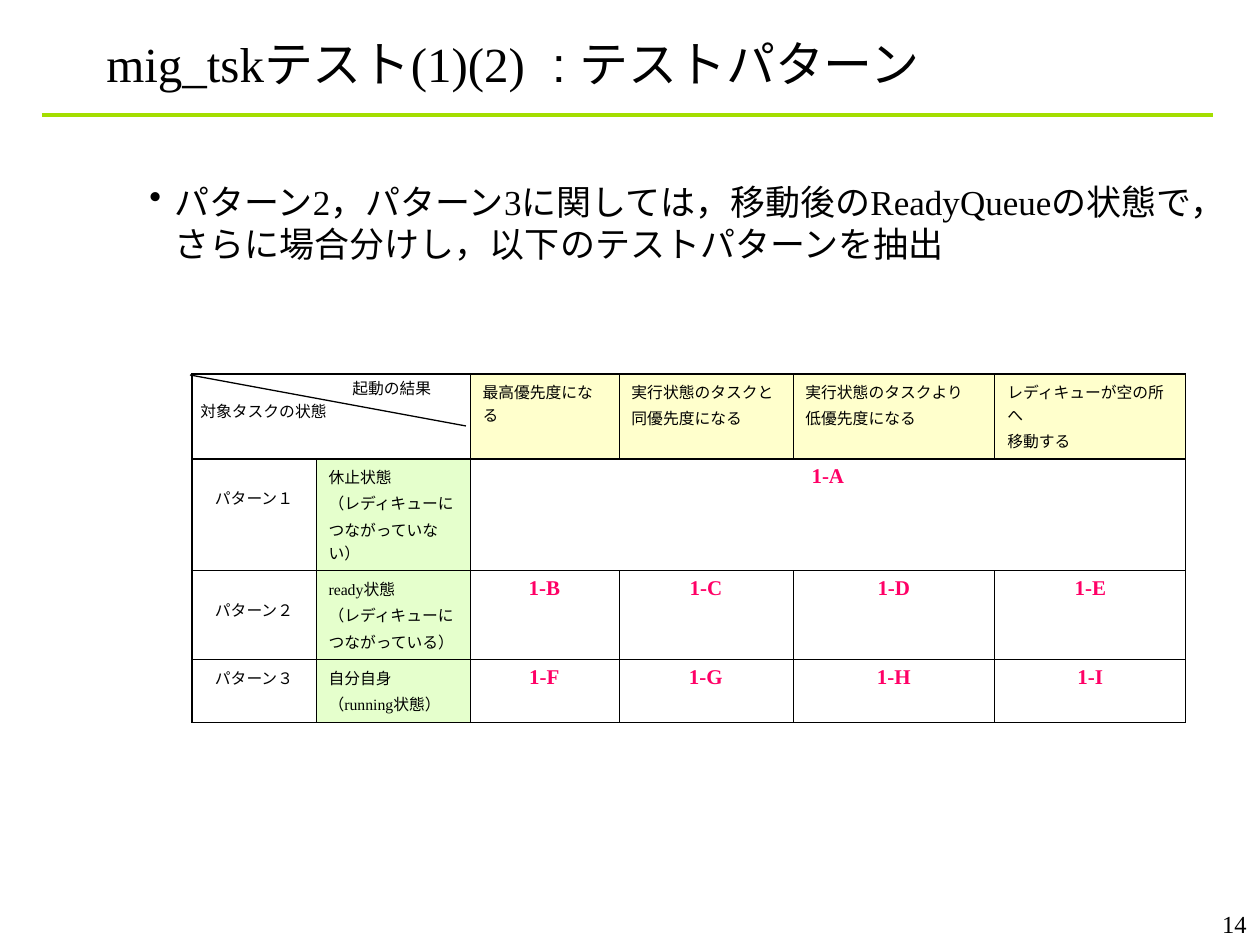
from lxml.etree import SubElement
from pptx import Presentation
from pptx.dml.color import RGBColor
from pptx.enum.shapes import MSO_CONNECTOR
from pptx.enum.text import MSO_ANCHOR, PP_ALIGN
from pptx.oxml.ns import qn
from pptx.util import Pt

PX = 914400 // 126
BLACK = RGBColor(0x00, 0x00, 0x00)
LIME = RGBColor(0xA4, 0xDE, 0x00)
CREAM = RGBColor(0xFF, 0xFF, 0xCC)
MINT = RGBColor(0xE5, 0xFF, 0xCC)
PINK = RGBColor(0xFF, 0x00, 0x66)
SERIF, SANS = "Times New Roman", "Arial"
PLAIN = {"size": Pt(9), "name": SERIF, "color": BLACK, "bold": False}
CODE = {**PLAIN, "size": Pt(12), "color": PINK, "bold": True}

RESULTS = [
    ["最高優先度になる"],
    ["実行状態のタスクと", "同優先度になる"],
    ["実行状態のタスクより", "低優先度になる"],
    ["レディキューが空の所へ", "移動する"],
]
PATTERNS = [
    ("パターン１", ["休止状態", "（レディキューに", "つながっていない）"], ["1-A"], 27),
    ("パターン２", ["ready状態", "（レディキューに", "つながっている）"],
     ["1-B", "1-C", "1-D", "1-E"], 27),
    ("パターン３", ["自分自身", "（running状態）"], ["1-F", "1-G", "1-H", "1-I"], 6),
]
COLUMN_WIDTHS = [124, 154, 149, 174, 202, 191]
ROW_HEIGHTS = [85, 112, 89, 63]


class SlideWriter:
    """Holds the slide and draws each kind of element on it in one style."""

    def __init__(self, slide):
        self.slide = slide

    def run(self, paragraph, wording, style):
        run = paragraph.add_run()
        run.text = wording
        for key, value in style.items():
            if key == "color":
                run.font.color.rgb = value
            else:
                setattr(run.font, key, value)

    def text(self, box, runs, size, anchor=MSO_ANCHOR.TOP, align=PP_ALIGN.LEFT):
        frame = self.slide.shapes.add_textbox(*(v * PX for v in box)).text_frame
        frame.word_wrap = True
        frame.vertical_anchor = anchor
        paragraph = frame.paragraphs[0]
        paragraph.alignment = align
        for wording, font in runs:
            self.run(paragraph, wording, {**PLAIN, "size": Pt(size), "name": font})
        return paragraph

    def bullet(self, box, wording, size):
        paragraph = self.text(box, [(wording, SERIF)], size)
        properties = paragraph._p.get_or_add_pPr()
        for key, value in {"marL": 25 * PX, "indent": -25 * PX}.items():
            properties.set(key, str(value))
        SubElement(properties, qn("a:buChar"), char="•")

    def line(self, start, end, color, width):
        ends = (v * PX for v in (*start, *end))
        connector = self.slide.shapes.add_connector(MSO_CONNECTOR.STRAIGHT, *ends)
        connector.line.color.rgb = color
        connector.line.width = Pt(width)
        SubElement(connector._element.spPr, qn("a:effectLst"))

    def table(self, left, top, widths, heights):
        box = (left, top, sum(widths), sum(heights))
        table = self.slide.shapes.add_table(
            len(heights), len(widths), *(v * PX for v in box)).table
        for key in ("first_row", "horz_banding"):
            setattr(table, key, False)
        for column, width in zip(table.columns, widths):
            column.width = width * PX
        for row, height in zip(table.rows, heights):
            row.height = height * PX
        return table

    def borders(self, cell, outer_left, outer_right):
        properties = cell._tc.get_or_add_tcPr()
        widths = {"L": 0.75 if outer_left else 0.45, "R": 0.75 if outer_right else 0.45,
                  "T": 0.75, "B": 0.75}
        for side, width in widths.items():
            border = SubElement(properties, qn(f"a:ln{side}"), w=str(Pt(width)))
            SubElement(SubElement(border, qn("a:solidFill")), qn("a:srgbClr"), val=str(BLACK))

    def cell(self, cell, lines, style=PLAIN, fill=None, align=PP_ALIGN.LEFT, top=6):
        cell.margin_top = top * PX
        if fill is None:
            cell.fill.background()
        else:
            cell.fill.solid()
            cell.fill.fore_color.rgb = fill
        frame = cell.text_frame
        for index, wording in enumerate(lines):
            paragraph = frame.add_paragraph() if index else frame.paragraphs[0]
            paragraph.alignment = align
            if index:
                paragraph.space_before = Pt(2.25)
            self.run(paragraph, wording, style)


def fill_patterns(writer):
    table = writer.table(192, 374, COLUMN_WIDTHS, ROW_HEIGHTS)
    last = len(COLUMN_WIDTHS) - 1
    table.cell(0, 0).merge(table.cell(0, 1))
    table.cell(1, 2).merge(table.cell(1, last))
    for row in range(len(ROW_HEIGHTS)):
        for column in range(last + 1):
            cell = table.cell(row, column)
            if not cell.is_spanned:
                span = cell.span_width if cell.is_merge_origin else 1
                writer.borders(cell, column == 0, column + span > last)
    writer.cell(table.cell(0, 0), [])
    for column, result in enumerate(RESULTS, 2):
        writer.cell(table.cell(0, column), result, fill=CREAM)
    for row, (pattern, state, codes, top) in enumerate(PATTERNS, 1):
        writer.cell(table.cell(row, 0), [pattern], align=PP_ALIGN.CENTER, top=top)
        writer.cell(table.cell(row, 1), state, fill=MINT)
        for column, code in enumerate(codes, 2):
            writer.cell(table.cell(row, column), [code], CODE, align=PP_ALIGN.CENTER)


def main():
    deck = Presentation()
    deck.slide_width, deck.slide_height = 1260 * PX, 945 * PX
    writer = SlideWriter(deck.slides.add_slide(deck.slide_layouts[6]))
    writer.line((42, 115), (1213, 115), LIME, 1.75)
    writer.text((94, 31, 1071, 63),
                [("mig_tskテスト(1)(2)", SERIF), ("  : ", SANS), ("テストパターン", SERIF)],
                28, anchor=MSO_ANCHOR.MIDDLE)
    fill_patterns(writer)
    writer.bullet((137, 174, 1090, 108),
                  "パターン2，パターン3に関しては，移動後のReadyQueueの状態で，"
                  "さらに場合分けし，以下のテストパターンを抽出", 20)
    writer.text((188, 396, 160, 31), [("対象タスクの状態", SERIF)], 9)
    writer.text((340, 373, 120, 31), [("起動の結果", SERIF)], 9)
    writer.line((190, 375), (466, 426), BLACK, 0.75)
    writer.text((997, 903, 262, 42), [("14", SERIF)], 14, align=PP_ALIGN.RIGHT)
    deck.save("out.pptx")


if __name__ == "__main__":
    main()
